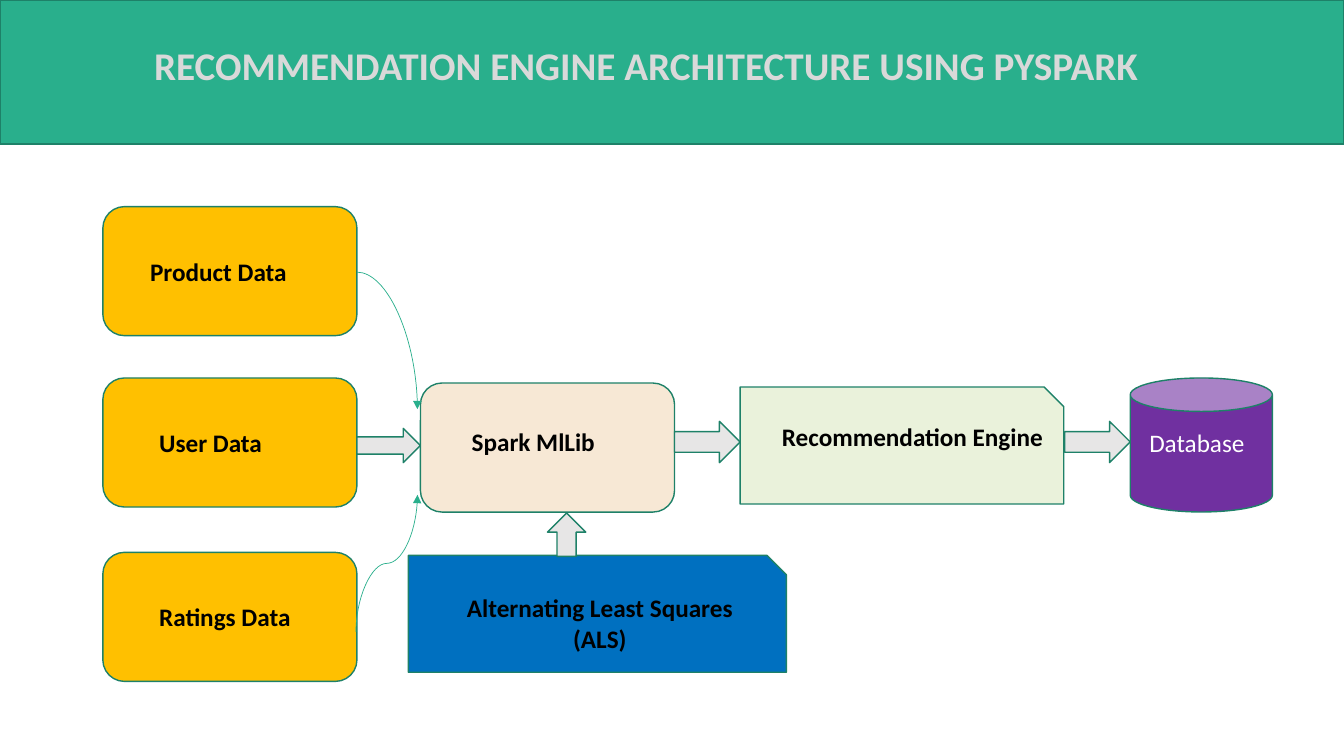
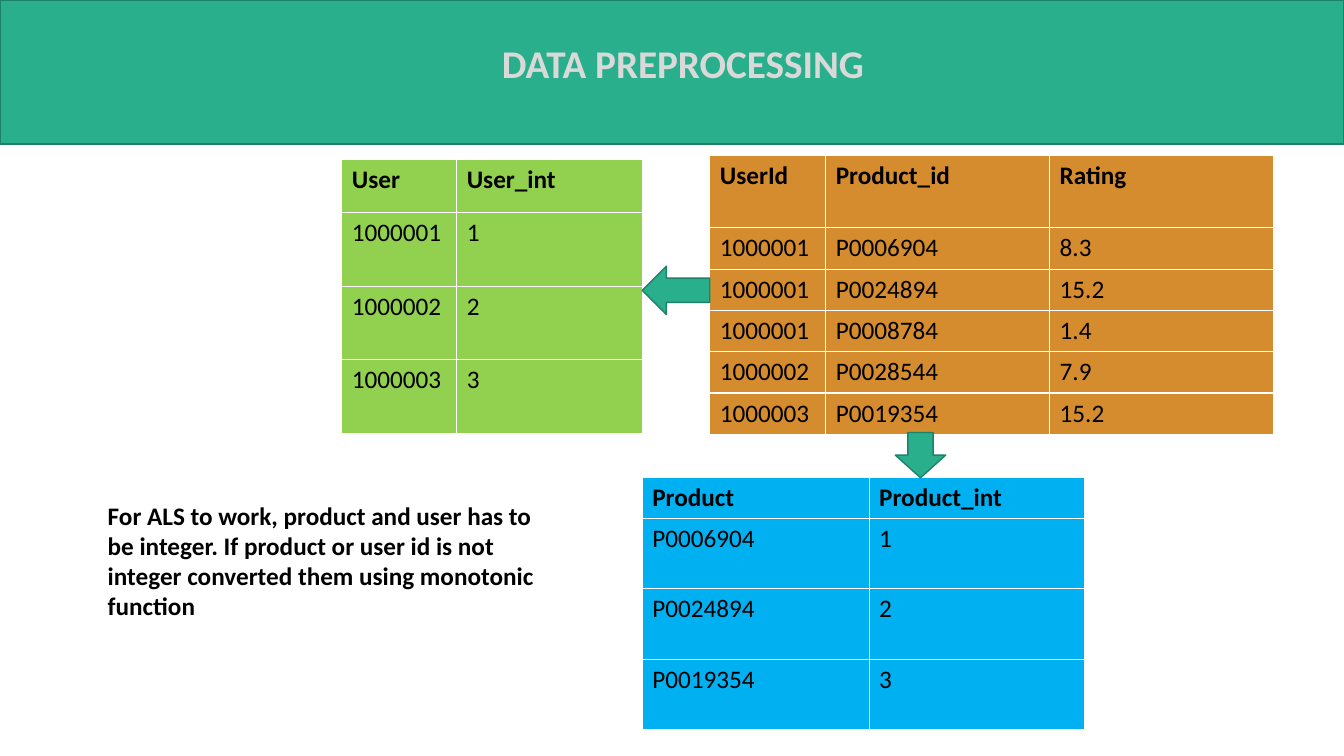
from lxml import etree
from pptx import Presentation
from pptx.dml.color import RGBColor
from pptx.enum.shapes import MSO_CONNECTOR, MSO_SHAPE
from pptx.enum.text import PP_ALIGN
from pptx.oxml.ns import qn
from pptx.util import Inches, Pt

RECT, ROUND = MSO_SHAPE.RECTANGLE, MSO_SHAPE.ROUNDED_RECTANGLE
SNIP, CAN = MSO_SHAPE.SNIP_1_RECTANGLE, MSO_SHAPE.CAN
RIGHT, LEFT = MSO_SHAPE.RIGHT_ARROW, MSO_SHAPE.LEFT_ARROW
UP, DOWN = MSO_SHAPE.UP_ARROW, MSO_SHAPE.DOWN_ARROW
CURVE = MSO_CONNECTOR.CURVE
ALIGN_LEFT, CENTER = PP_ALIGN.LEFT, PP_ALIGN.CENTER

FONT = "Calibri"
GREEN, EDGE, SILVER = "29AF8C", "1E8168", "E7E6E6"
TITLE, BLACK, WHITE = "D9D9D9", "000000", "FFFFFF"
YELLOW, CREAM, MINT = "FFC000", "F7E8D5", "EAF2DB"
BLUE, PURPLE = "0070C0", "7030A0"
WIDTH, HEIGHT, BAND = 13.33, 7.5, 1.43

# Architecture: data sources (label, box top, label left)
SOURCES = [("Product Data", 2.05, 1.39), ("User Data", 3.75, 1.48),
           ("Ratings Data", 5.48, 1.48)]
SOURCE_LEFT, BOX_W, BOX_H = 1.02, 2.52, 1.28
# kind, fill, left, top, width, height
STAGES = [
    (ROUND, CREAM, 4.17, 3.8, BOX_W, BOX_H),
    (SNIP, MINT, 7.34, 3.84, 3.21, 1.16),
    (SNIP, BLUE, 4.05, 5.51, 3.75, 1.16),
    (CAN, PURPLE, 11.21, 3.75, 1.41, 1.33),
]
FLOW_ARROWS = [
    (RIGHT, SILVER, 3.54, 4.25, 0.63, 0.34),
    (RIGHT, SILVER, 6.69, 4.18, 0.65, 0.41),
    (RIGHT, SILVER, 10.56, 4.18, 0.65, 0.41),
    (UP, SILVER, 5.43, 5.09, 0.38, 0.43),
]
# text, left, top, width, height, colour, bold, alignment
STAGE_LABELS = [
    ("Spark MlLib", 4.58, 4.18, 1.99, 0.4, BLACK, True, ALIGN_LEFT),
    ("Recommendation Engine", 7.55, 4.13, 3, 0.4, BLACK, True, CENTER),
    ("Alternating Least Squares (ALS)", 4.31, 5.83, 3.28, 0.71, BLACK, True, CENTER),
    ("Database", 11.3, 4.19, 1.22, 0.4, WHITE, False, ALIGN_LEFT),
]

# Preprocessing: fill, left, top, column widths, header height, row height, rows
TABLES = [
    ("D58C2E", 7.04, 1.54, (1.15, 2.22, 2.22), 0.72, 0.41, [
        ("UserId", "Product_id", "Rating"),
        ("1000001", "P0006904", "8.3"),
        ("1000001", "P0024894", "15.2"),
        ("1000001", "P0008784", "1.4"),
        ("1000002", "P0028544", "7.9"),
        ("1000003", "P0019354", "15.2")]),
    ("92D050", 3.39, 1.58, (1.14, 1.84), 0.53, 0.73, [
        ("User", "User_int"),
        ("1000001", "1"), ("1000002", "2"), ("1000003", "3")]),
    ("00B0F0", 6.37, 4.74, (2.25, 2.14), 0.4, 0.7, [
        ("Product", "Product_int"),
        ("P0006904", "1"), ("P0024894", "2"), ("P0019354", "3")]),
]
TABLE_ARROWS = [
    (DOWN, GREEN, 8.88, 4.29, 0.5, 0.45),
    (LEFT, GREEN, 6.37, 2.64, 0.67, 0.48),
]
NOTE = ("For ALS to work, product and user has to be integer. If product or user id "
        "is not integer converted them using monotonic function")


def rgb(value):
    return RGBColor.from_string(value)


def inches(*values):
    return [Inches(v) for v in values]


def style(tf, color, bold, size=18, align=ALIGN_LEFT):
    for p in tf.paragraphs:
        p.alignment = align
        for r in p.runs:
            r.font.name, r.font.size, r.font.bold = FONT, Pt(size), bold
            r.font.color.rgb = rgb(color)


def add_text(s, text, left, top, width, height, color=BLACK, bold=True,
             align=ALIGN_LEFT, size=18):
    tf = s.shapes.add_textbox(*inches(left, top, width, height)).text_frame
    tf.word_wrap = True
    tf.text = text
    style(tf, color, bold, size, align)


def add_box(s, kind, fill, *place):
    sp = s.shapes.add_shape(kind, *inches(*place))
    sp.shadow.inherit = False
    sp.fill.solid()
    sp.fill.fore_color.rgb = rgb(fill)
    sp.line.color.rgb = rgb(EDGE)
    sp.line.width = Pt(1)


def add_curve(s, start, end, s_bend=False):
    """Curved arrow: a quarter bend, or an S bend that leaves vertically."""
    (x1, y1), (x2, y2) = start, end
    if s_bend:  # lay the curve on its side, then turn it by 90 degrees
        cx, cy, dx, dy = (x1 + x2) / 2, (y1 + y2) / 2, (x1 - x2) / 2, (y1 - y2) / 2
        x1, y1, x2, y2 = cx + dy, cy - dx, cx - dy, cy + dx
    cxn = s.shapes.add_connector(CURVE, *inches(x1, y1, x2, y2))
    cxn.line.color.rgb = rgb(GREEN)
    cxn.line.width = Pt(0.5)
    spPr = cxn._element.spPr
    if s_bend:
        spPr.find(qn("a:xfrm")).set("rot", "5400000")
    else:
        spPr.find(qn("a:prstGeom")).set("prst", "curvedConnector2")
    etree.SubElement(spPr.find(qn("a:ln")), qn("a:tailEnd"), type="triangle")
    etree.SubElement(spPr, qn("a:effectLst"))


def add_grid(s, fill, left, top, widths, header_h, row_h, rows):
    heights = [header_h] + [row_h] * (len(rows) - 1)
    table = s.shapes.add_table(len(rows), len(widths), *inches(
        left, top, sum(widths), sum(heights))).table
    table.horz_banding = False
    for column, width in zip(table.columns, widths):
        column.width = Inches(width)
    for i, (row, height, values) in enumerate(zip(table.rows, heights, rows)):
        row.height = Inches(height)
        for cell, value in zip(row.cells, values):
            cell.text = value
            cell.fill.solid()
            cell.fill.fore_color.rgb = rgb(fill)
            style(cell.text_frame, BLACK, i == 0)


def add_slide(prs, title, left, top, width):
    s = prs.slides.add_slide(prs.slide_layouts[6])
    add_box(s, RECT, GREEN, 0, 0, WIDTH, BAND)
    add_text(s, title, left, top, width, 0.57, TITLE, size=28)
    return s


def architecture(prs):
    s = add_slide(prs, "RECOMMENDATION ENGINE ARCHITECTURE USING PYSPARK",
                  1.43, 0.36, 10.83)
    for label, top, label_left in SOURCES:
        add_box(s, ROUND, YELLOW, SOURCE_LEFT, top, BOX_W, BOX_H)
        add_text(s, label, label_left, top + 0.44, 1.99, 0.4)
    for box in STAGES + FLOW_ARROWS:
        add_box(s, *box)
    for label in STAGE_LABELS:
        add_text(s, *label)
    add_curve(s, (3.54, 2.7), (4.14, 4.06))
    add_curve(s, (3.53, 6.27), (4.14, 4.91), s_bend=True)


def preprocessing(prs):
    s = add_slide(prs, "DATA PREPROCESSING", 4.88, 0.34, 8.22)
    for grid in TABLES:
        add_grid(s, *grid)
    for arrow in TABLE_ARROWS:
        add_box(s, *arrow)
    add_text(s, NOTE, 0.97, 4.91, 4.61, 1.31)


def main():
    prs = Presentation()
    prs.slide_width, prs.slide_height = inches(WIDTH, HEIGHT)
    architecture(prs)
    preprocessing(prs)
    prs.save("out.pptx")


if __name__ == "__main__":
    main()
